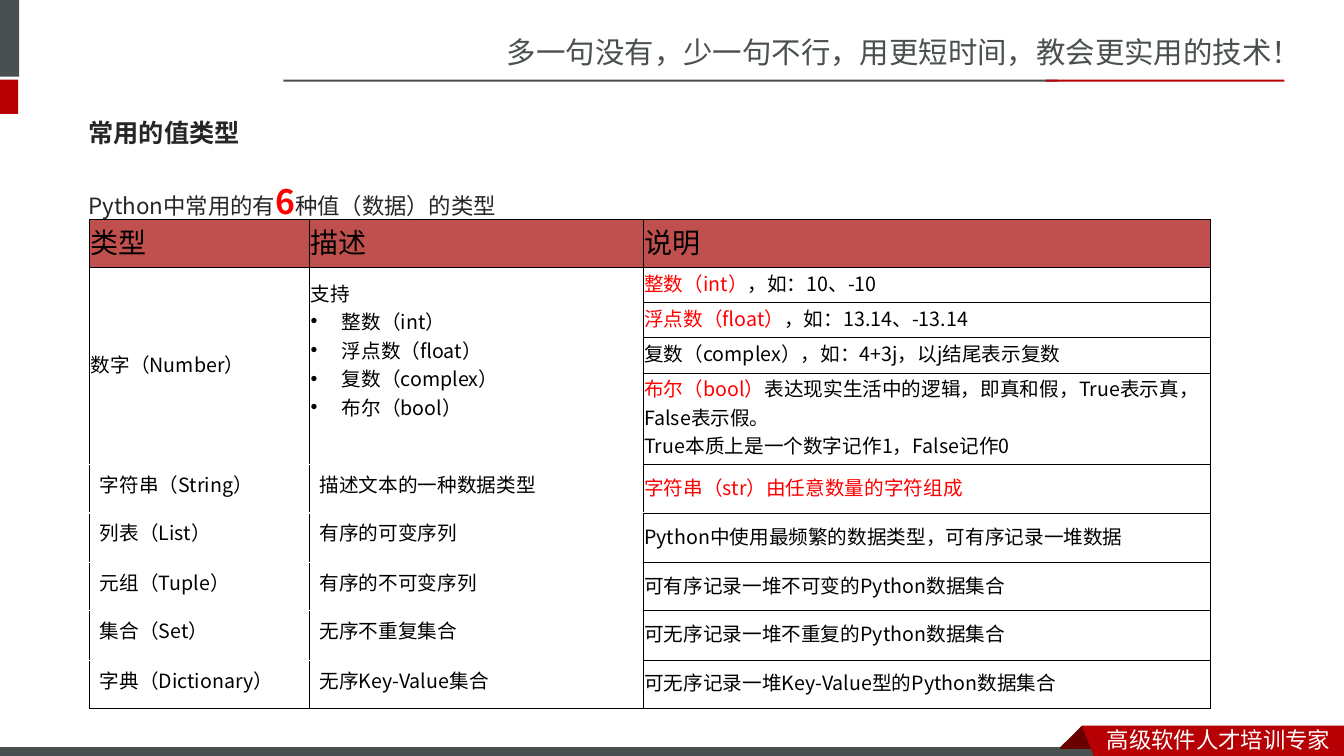
from dataclasses import dataclass
from typing import NamedTuple

from lxml import etree
from pptx import Presentation
from pptx import util as u
from pptx.dml.color import RGBColor
from pptx.enum import shapes, text
from pptx.oxml import ns


@dataclass(frozen=True)
class Theme:
    grey: str = "49504F"
    red: str = "B60004"
    dark_red: str = "680000"
    header: str = "C0504D"
    accent: str = "FF0000"
    ink: str = "262626"
    black: str = "000000"
    white: str = "FFFFFF"
    sc: str = "Noto Sans CJK SC"
    jp: str = "Noto Sans CJK JP"
    slogan: float = 21
    title: float = 18
    body: float = 16
    count: float = 24
    table_head: float = 20
    table_body: float = 14


T = Theme()


class Run(NamedTuple):
    words: str
    color: str | None = None
    size: float | None = None
    bold: bool | None = None


class Bar(NamedTuple):
    left: float
    top: float
    width: float
    height: float
    color: str
    outline: str | None = None


class Band(NamedTuple):
    points: list[tuple[float, float]]
    color: str


class ValueType(NamedTuple):
    name: str
    summary: str
    detail: list[Run]


def rgb(color: str) -> RGBColor:
    return RGBColor.from_string(color)


def write(paragraph, *runs: Run, size: float, color: str = T.black,
          font: str = T.jp, bold: bool = False, bullet: bool = False) -> None:
    if bullet:
        props = paragraph._p.get_or_add_pPr()
        props.set("marL", str(u.Inches(0.31)))
        props.set("indent", str(u.Inches(-0.31)))
        etree.SubElement(props, ns.qn("a:buFont"), typeface="Arial")
        etree.SubElement(props, ns.qn("a:buChar"), char="•")
    for part in runs:
        run = paragraph.add_run()
        run.text = part.words
        run.font.name = font
        run.font.size = u.Pt(part.size or size)
        run.font.bold = bold if part.bold is None else part.bold
        run.font.color.rgb = rgb(part.color or color)
        # East Asian glyphs use the same family
        etree.SubElement(run._r.get_or_add_rPr(), ns.qn("a:ea"), typeface=font)


def text_frame(slide, left: float, top: float, width: float, height: float,
               anchor=text.MSO_ANCHOR.TOP):
    frame = slide.shapes.add_textbox(*map(u.Inches, (left, top, width, height))).text_frame
    frame.word_wrap = True
    frame.vertical_anchor = anchor
    return frame


def paint(shape, color: str, outline: str | None = None) -> None:
    shape.shadow.inherit = False
    shape.fill.solid()
    shape.fill.fore_color.rgb = rgb(color)
    if outline:
        shape.line.color.rgb = rgb(outline)
        shape.line.width = u.Pt(0.75)
    else:
        shape.line.fill.background()


def draw_bar(slide, bar: Bar) -> None:
    area = map(u.Inches, (bar.left, bar.top, bar.width, bar.height))
    paint(slide.shapes.add_shape(shapes.MSO_SHAPE.RECTANGLE, *area), bar.color, bar.outline)


def draw_band(slide, band: Band) -> None:
    corners = [(u.Inches(x), u.Inches(y)) for x, y in band.points]
    builder = slide.shapes.build_freeform(*corners[0])
    builder.add_line_segments(corners[1:], close=True)
    paint(builder.convert_to_shape(), band.color)


def style_cell(cell, fill: str | None = None, roomy: bool = False) -> None:
    props = cell._tc.get_or_add_tcPr()
    for side in "LRTB":
        white = roomy and side == "T"
        line = etree.SubElement(props, ns.qn(f"a:ln{side}"), w=str(u.Pt(1 if white else 0.5)))
        solid = etree.SubElement(line, ns.qn("a:solidFill"))
        etree.SubElement(solid, ns.qn("a:srgbClr"), val=T.white if white else T.black)
    if fill:
        cell.fill.solid()
        cell.fill.fore_color.rgb = rgb(fill)
    else:
        cell.fill.background()
    if not roomy:
        cell.vertical_anchor = text.MSO_ANCHOR.MIDDLE
        cell.margin_left = cell.margin_right = cell.margin_top = u.Inches(0.01)
        cell.margin_bottom = u.Inches(0.05)


HEADINGS = ["类型", "描述", "说明"]
NUMBER_KINDS = ["整数（int）", "浮点数（float）", "复数（complex）", "布尔（bool）"]
NUMBER_DETAILS = [
    [[Run("整数（int）", T.accent), Run("，如：10、-10")]],
    [[Run("浮点数（float）", T.accent), Run("，如：13.14、-13.14")]],
    [[Run("复数（complex），如：4+3j，以j结尾表示复数")]],
    [[Run("布尔（bool）", T.accent),
      Run("表达现实生活中的逻辑，即真和假，True表示真，False表示假。")],
     [Run("True本质上是一个数字记作1，False记作0")]],
]
OTHER_TYPES = [
    ValueType("字符串（String）", "描述文本的一种数据类型",
              [Run("字符串（str）由任意数量的字符组成", T.accent)]),
    ValueType("列表（List）", "有序的可变序列",
              [Run("Python中使用最频繁的数据类型，可有序记录一堆数据")]),
    ValueType("元组（Tuple）", "有序的不可变序列",
              [Run("可有序记录一堆不可变的Python数据集合")]),
    ValueType("集合（Set）", "无序不重复集合",
              [Run("可无序记录一堆不重复的Python数据集合")]),
    ValueType("字典（Dictionary）", "无序Key-Value集合",
              [Run("可无序记录一堆Key-Value型的Python数据集合")]),
]
BARS = [
    Bar(-0.06, 0, 0.25, 0.76, T.grey),
    Bar(-0.06, 0.79, 0.24, 0.34, T.red),
    Bar(2.81, 0.79, 7.68, 0.02, T.grey),
    Bar(10.37, 0.79, 2.37, 0.02, T.red),
    Bar(-0.01, 7.41, 11, 0.12, T.grey, T.white),
]
FOLD = Band([(10.73, 7.2), (10.95, 7.42), (10.94, 7.43), (10.52, 7.43), (10.51, 7.42)], T.dark_red)
RIBBON = Band([(10.73, 7.2), (13.33, 7.2), (13.33, 7.54), (10.86, 7.53)], T.red)


def draw_types(slide) -> None:
    widths = [2.18, 3.31, 5.62]
    heights = [0.47] + [0.35] * 3 + [0.91] + [0.48, 0.49] * 2 + [0.48]
    area = map(u.Inches, (0.89, 2.18, sum(widths), sum(heights)))
    table = slide.shapes.add_table(len(heights), len(widths), *area).table
    table.first_row = table.horz_banding = False
    for column, width in zip(table.columns, widths):
        column.width = u.Inches(width)
    first_other = 1 + len(NUMBER_DETAILS)
    for i, (row, height) in enumerate(zip(table.rows, heights)):
        row.height = u.Inches(height)
        for j, cell in enumerate(row.cells):
            style_cell(cell, T.header if i == 0 else None, i >= first_other and j < 2)

    def fill_cell(i: int, j: int, *lines: list[Run], size: float = T.table_body) -> None:
        frame = table.cell(i, j).text_frame
        for n, line in enumerate(lines):
            write(frame.add_paragraph() if n else frame.paragraphs[0], *line, size=size)

    for j, heading in enumerate(HEADINGS):
        fill_cell(0, j, [Run(heading)], size=T.table_head)
    # Number type spans its four detail rows
    for j in (0, 1):
        table.cell(1, j).merge(table.cell(first_other - 1, j))
    fill_cell(1, 0, [Run("数字（Number）")])
    fill_cell(1, 1, [Run("支持")])
    kinds = table.cell(1, 1)
    kinds.margin_bottom = u.Inches(0.33)
    for kind in NUMBER_KINDS:
        write(kinds.text_frame.add_paragraph(), Run(kind), size=T.table_body, bullet=True)
    for i, lines in enumerate(NUMBER_DETAILS, 1):
        fill_cell(i, 2, *lines)
    # Remaining types, one row each
    for i, kind in enumerate(OTHER_TYPES, first_other):
        fill_cell(i, 0, [Run(kind.name)])
        fill_cell(i, 1, [Run(kind.summary)])
        fill_cell(i, 2, kind.detail)


def main() -> None:
    deck = Presentation()
    deck.slide_width, deck.slide_height = u.Inches(13.33), u.Inches(7.5)
    slide = deck.slides.add_slide(deck.slide_layouts[6])
    # Frame of the page
    slogan = text_frame(slide, 4.93, 0.29, 8.41, 0.45)
    write(slogan.paragraphs[0], Run("多一句没有，少一句不行，用更短时间，教会更实用的技术！"),
          size=T.slogan, color=T.grey, font=T.sc)
    for bar in BARS:
        draw_bar(slide, bar)
    for band in (FOLD, RIBBON):
        draw_band(slide, band)
    motto = text_frame(slide, 10.88, 7.15, 2.45, 0.37)
    write(motto.paragraphs[0], Run("高级软件人才培训专家"), size=T.body, color=T.white, font=T.sc)
    # Title and lead-in
    title = text_frame(slide, 0.78, 1.03, 11.7, 0.57, text.MSO_ANCHOR.MIDDLE)
    write(title.paragraphs[0], Run("常用的值类型"), size=T.title, color=T.ink, bold=True)
    lead = text_frame(slide, 0.78, 1.55, 11.7, 4.61).paragraphs[0]
    lead.line_spacing = 1.5
    write(lead, Run("Python中常用的有"), Run("6", T.accent, T.count, True),
          Run("种值（数据）的类型"), size=T.body, color=T.ink)
    # Table of types
    draw_types(slide)
    deck.save("out.pptx")


if __name__ == "__main__":
    main()
